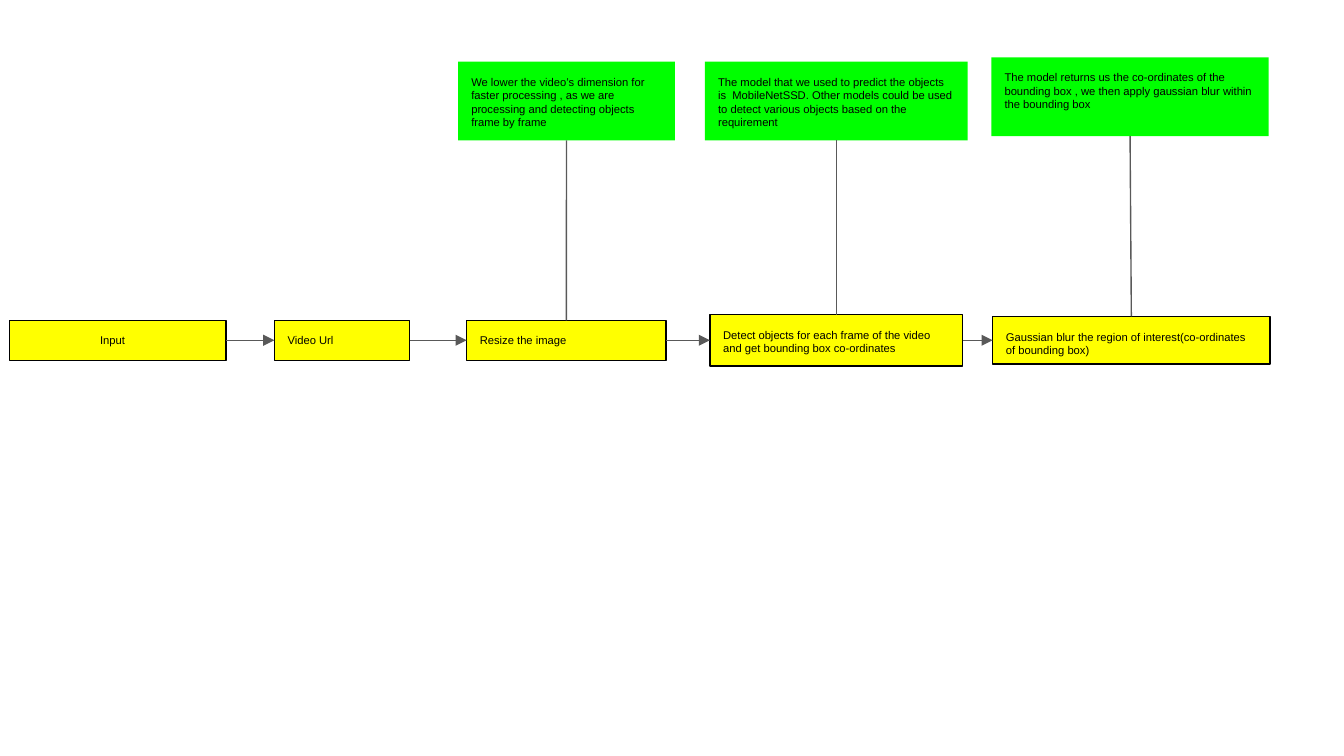
from dataclasses import dataclass

from lxml import etree
from pptx import Presentation
from pptx import util as u
from pptx.dml.color import RGBColor
from pptx.enum import shapes, text
from pptx.oxml import ns


@dataclass(frozen=True)
class Theme:
    step: RGBColor = RGBColor(0xFF, 0xFF, 0x00)
    note: RGBColor = RGBColor(0x00, 0xFF, 0x00)
    ink: RGBColor = RGBColor(0x00, 0x00, 0x00)
    link: RGBColor = RGBColor(0x59, 0x59, 0x59)
    font: str = "Arial"
    size: float = 6
    stroke: float = 0.75
    inset: float = 7.2


TOP, LEFT, BOTTOM, RIGHT = range(4)
AXIS = 182.3
NOTE_HEIGHT = 42.2

STEPS = [
    ("Input", 5.2, 116, 21.4, 41.3),
    ("Video Url", 147, 72.5, 21.4, 0),
    ("Resize the image", 250, 106.8, 21.4, 0),
    ("Detect objects for each frame of the video and get bounding box co-ordinates",
     380.3, 135.4, 27.4, 0),
    ("Gaussian blur the region of interest(co-ordinates of bounding box)",
     531.8, 148.6, 25.6, 0),
]

NOTES = [
    (2, "We lower the video’s dimension for faster processing , as we are "
        "processing and detecting objects frame by frame", 245.4, 33, 116.2),
    (3, "The model that we used to predict the objects is  MobileNetSSD. Other models "
        "could be used to detect various objects based on the requirement", 377.6, 33, 140.8),
    (4, "The model returns us the co-ordinates of the bounding box , we then apply "
        "gaussian blur within the bounding box", 531.1, 30.7, 148.6),
]


class FlowSlide:
    """Draws flow steps, notes and links on one slide in a single style."""

    def __init__(self, slide, theme):
        self.slide = slide
        self.theme = theme

    def box(self, words, left, top, width, height, fill, indent=0):
        theme = self.theme
        box = self.slide.shapes.add_shape(
            shapes.MSO_SHAPE.RECTANGLE, u.Pt(left), u.Pt(top), u.Pt(width), u.Pt(height))
        box.shadow.inherit = False
        box.fill.solid()
        box.fill.fore_color.rgb = fill
        box.line.fill.background()
        frame = box.text_frame
        frame.word_wrap = True
        frame.vertical_anchor = text.MSO_ANCHOR.TOP
        frame.margin_top = frame.margin_right = frame.margin_bottom = u.Pt(theme.inset)
        frame.margin_left = u.Pt(theme.inset + indent)
        frame.text = words
        para = frame.paragraphs[0]
        para.alignment = text.PP_ALIGN.LEFT
        for span in para.runs:
            span.font.name = theme.font
            span.font.size = u.Pt(theme.size)
            span.font.color.rgb = theme.ink
        return box

    def step(self, words, left, width, height, indent):
        box = self.box(words, left, AXIS - height / 2, width, height, self.theme.step, indent)
        box.line.color.rgb = self.theme.ink
        box.line.width = u.Pt(self.theme.stroke)
        return box

    def note(self, words, left, top, width):
        return self.box(words, left, top, width, NOTE_HEIGHT, self.theme.note)

    def link(self, start, start_side, end, end_side, arrow=False):
        link = self.slide.shapes.add_connector(shapes.MSO_CONNECTOR.STRAIGHT, 0, 0, 0, 0)
        link.begin_connect(start, start_side)
        link.end_connect(end, end_side)
        link.line.color.rgb = self.theme.link
        link.line.width = u.Pt(self.theme.stroke)
        if arrow:
            etree.SubElement(link.line._get_or_add_ln(), ns.qn("a:tailEnd"), type="triangle",
                             w="med", len="med")
        etree.SubElement(link._element.spPr, ns.qn("a:effectLst"))
        return link


def main():
    deck = Presentation()
    deck.slide_width, deck.slide_height = u.Pt(720), u.Pt(405)
    page = FlowSlide(deck.slides.add_slide(deck.slide_layouts[6]), Theme())

    steps = [page.step(*step) for step in STEPS]
    for start, end in zip(steps, steps[1:]):
        page.link(start, RIGHT, end, LEFT, arrow=True)
    for index, *note in NOTES:
        page.link(page.note(*note), BOTTOM, steps[index], TOP)

    deck.save("out.pptx")


if __name__ == "__main__":
    main()
